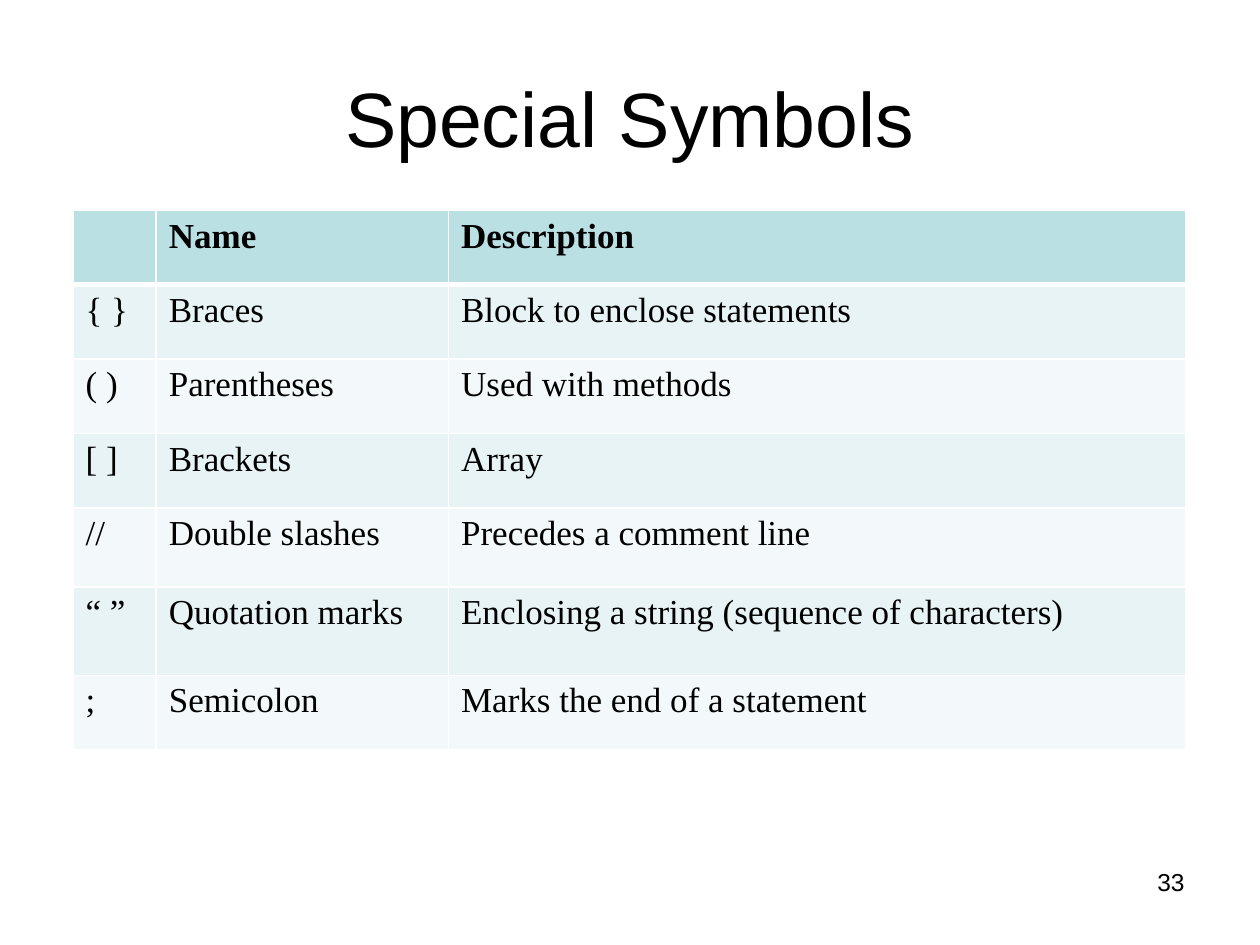
from lxml.etree import SubElement
from pptx import Presentation
from pptx.dml.color import RGBColor as Color
from pptx.enum.text import MSO_ANCHOR as Anchor, PP_ALIGN as Align
from pptx.oxml.ns import qn
from pptx.util import Inches, Pt

COLORS = {
    "text": "000000",
    "border": "FFFFFF",
    "header": "BBE0E3",
    "odd": "E7F3F4",
    "even": "F3F9FA",
}
SYMBOLS = [
    ("", "Name", "Description"),
    ("{ }", "Braces", "Block to enclose statements"),
    ("( )", "Parentheses", "Used with methods"),
    ("[ ]", "Brackets", "Array"),
    ("//", "Double slashes", "Precedes a comment line"),
    ("“ ”", "Quotation marks", "Enclosing a string (sequence of characters)"),
    (";", "Semicolon", "Marks the end of a statement"),
]
COLUMN_WIDTHS = [6.6, 23.2, 58.5]
ROW_HEIGHTS = [7.87] * 4 + [8.4, 9.33, 7.87]


class SlideBuilder:
    heading_font = "Arial"
    table_font = "Times New Roman"

    def __init__(self, deck):
        self.deck = deck
        self.page = deck.slides.add_slide(deck.slide_layouts[5])

    def across(self, percent):
        return round(self.deck.slide_width * percent / 100)

    def down(self, percent):
        return round(self.deck.slide_height * percent / 100)

    def area(self, left, top, width, height):
        return self.across(left), self.down(top), self.across(width), self.down(height)

    def add_text(self, frame, text, size, font, align=Align.LEFT, bold=False):
        para = frame.paragraphs[0]
        para.alignment = align
        span = para.add_run()
        span.text = text
        span.font.size = Pt(size)
        span.font.name = font
        span.font.bold = bold
        span.font.color.rgb = Color.from_string(COLORS["text"])

    def title(self, text, *place):
        box = self.page.shapes.title
        box.left, box.top, box.width, box.height = self.area(*place)
        box.text_frame.vertical_anchor = Anchor.MIDDLE
        self.add_text(box.text_frame, text, 44, self.heading_font, Align.CENTER)

    def label(self, text, *place):
        box = self.page.shapes.add_textbox(*self.area(*place))
        box.text_frame.word_wrap = True
        self.add_text(box.text_frame, text, 14, self.heading_font, Align.RIGHT)

    def borders(self, cell, top, bottom):
        properties = cell._tc.get_or_add_tcPr()
        for side, points in (("L", 1), ("R", 1), ("T", top), ("B", bottom)):
            line = SubElement(properties, qn(f"a:ln{side}"), w=str(Pt(points)))
            fill = SubElement(line, qn("a:solidFill"))
            SubElement(fill, qn("a:srgbClr"), val=COLORS["border"])

    def table(self, rows, left, top, widths, heights):
        place = self.area(left, top, sum(widths), sum(heights))
        grid = self.page.shapes.add_table(len(rows), len(widths), *place).table
        for column, width in zip(grid.columns, widths):
            column.width = self.across(width)
        for number, (row, texts, height) in enumerate(zip(grid.rows, rows, heights)):
            row.height = self.down(height)
            shade = "header" if number == 0 else "odd" if number % 2 else "even"
            for cell, text in zip(row.cells, texts):
                self.borders(cell, 3 if number == 1 else 1, 3 if number == 0 else 1)
                cell.fill.solid()
                cell.fill.fore_color.rgb = Color.from_string(COLORS[shade])
                if text:
                    self.add_text(cell.text_frame, text, 20, self.table_font, bold=number == 0)


def main():
    deck = Presentation()
    deck.slide_width, deck.slide_height = Inches(10), Inches(7.5)
    builder = SlideBuilder(deck)
    builder.title("Special Symbols", 5, 4, 90, 16.67)
    builder.table(SYMBOLS, 5.8, 22.27, COLUMN_WIDTHS, ROW_HEIGHTS)
    builder.label("33", 71.7, 91.07, 23.3, 6.93)
    deck.save("out.pptx")


if __name__ == "__main__":
    main()
